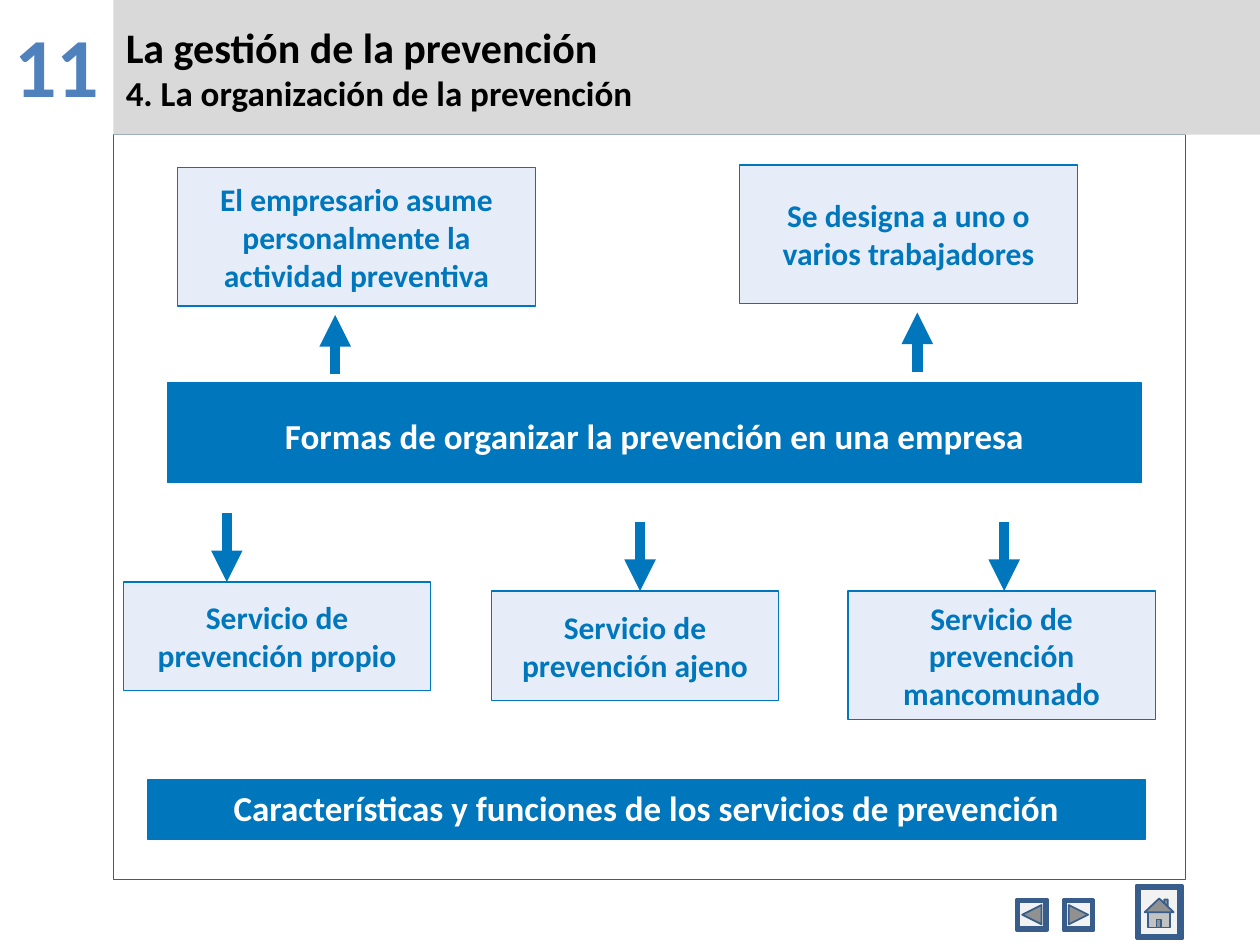
from typing import NamedTuple

from lxml.etree import SubElement
from pptx import Presentation
from pptx.dml.color import RGBColor
from pptx.enum.shapes import MSO_CONNECTOR, MSO_SHAPE
from pptx.enum.text import MSO_ANCHOR as Anchor, PP_ALIGN as Align
from pptx.oxml.ns import qn
from pptx.util import Inches, Pt

FONT = "Calibri"
BLUE = RGBColor(0x00, 0x77, 0xBD)
PALE = RGBColor(0xE6, 0xED, 0xF8)
NUMBER_BLUE = RGBColor(0x4F, 0x81, 0xBD)
NAVY = RGBColor(0x38, 0x5D, 0x8A)
BAND = RGBColor(0xD9, 0xD9, 0xD9)
BUTTON = RGBColor(0xF2, 0xF2, 0xF2)
GLYPH = RGBColor(0x91, 0x91, 0x91)
GLYPH_LIGHT = RGBColor(0xC2, 0xC2, 0xC2)
WHITE = RGBColor(0xFF, 0xFF, 0xFF)
BLACK = RGBColor(0x00, 0x00, 0x00)

WIDTH, HEIGHT = Inches(10), Inches(7.5)
UNIT = WIDTH // 100  # the grid has 100 columns and 75 rows of this size


class Box(NamedTuple):
    """A region of the slide, in grid units."""
    x: float
    y: float
    w: float
    h: float

    def inner(self, x, y, w, h):
        return Box(self.x + x, self.y + y, w, h)

    def lengths(self):
        return [round(value * UNIT) for value in self]


def paint(shape, fill=None, line=None, line_width=0.75):
    shape.shadow.inherit = False
    if fill is None:
        shape.fill.background()
    else:
        shape.fill.solid()
        shape.fill.fore_color.rgb = fill
    if line is None:
        shape.line.fill.background()
    else:
        shape.line.color.rgb = line
        shape.line.width = Pt(line_width)


def write(shape, lines, color, align=Align.CENTER, anchor=Anchor.MIDDLE, top=0.05, bottom=0.05):
    """Fill a shape with (text, size) lines in bold."""
    frame = shape.text_frame
    frame.word_wrap = True
    frame.vertical_anchor = anchor
    frame.margin_left = frame.margin_right = Inches(0.1)
    frame.margin_top, frame.margin_bottom = Inches(top), Inches(bottom)
    for index, (text, size) in enumerate(lines):
        paragraph = frame.add_paragraph() if index else frame.paragraphs[0]
        paragraph.text = text
        paragraph.alignment = align
        font = paragraph.font
        font.name, font.size, font.bold = FONT, Pt(size), True
        font.color.rgb = color


def add_rectangle(slide, box, fill=None, line=None):
    rectangle = slide.shapes.add_shape(MSO_SHAPE.RECTANGLE, *box.lengths())
    paint(rectangle, fill, line)
    return rectangle


def add_arrow(slide, x, start, end):
    ends = [round(value * UNIT) for value in (x, start, x, end)]
    arrow = slide.shapes.add_connector(MSO_CONNECTOR.STRAIGHT, *ends)
    arrow.line.color.rgb = BLUE
    arrow.line.width = Pt(6)
    SubElement(arrow.line._get_or_add_ln(), qn("a:tailEnd"), type="triangle")
    SubElement(arrow._element.spPr, qn("a:effectLst"))


def add_header(slide, box, number_width):
    number = slide.shapes.add_textbox(*box.inner(0, 0, number_width, 10).lengths())
    write(number, [("11", 48)], NUMBER_BLUE, anchor=Anchor.TOP, top=0.11)
    band = add_rectangle(slide, box.inner(number_width, 0, box.w - number_width, box.h), BAND)
    write(band, [("La gestión de la prevención", 24),
                 ("4. La organización de la prevención", 20)], BLACK, Align.LEFT)


def add_diagram(slide, panel):
    add_rectangle(slide, panel, line=NAVY)

    banner = add_rectangle(slide, panel.inner(4.3, 19.7, 77.3, 7.9), BLUE, BLUE)
    write(banner, [("Formas de organizar la prevención en una empresa", 20)], WHITE,
          anchor=Anchor.TOP, top=0.25, bottom=0.13)

    forms_above = [
        ("El empresario asume personalmente la actividad preventiva", (5.1, 2.6, 28.4, 11), 17.6),
        ("Se designa a uno o varios trabajadores", (49.7, 2.4, 26.8, 11), 63.8),
    ]
    forms_below = [
        ("Servicio de prevención propio", (0.8, 35.5, 24.4, 8.6), 9),
        ("Servicio de prevención ajeno", (30, 36.2, 22.8, 8.7), 41.8),
        ("Servicio de prevención mancomunado", (58.3, 36.2, 24.4, 10.2), 70.7),
    ]
    for text, place, arrow_x in forms_above + forms_below:
        box = panel.inner(*place)
        form = add_rectangle(slide, box, PALE, BLUE)
        write(form, [(text, 18)], BLUE, top=0.09, bottom=0.09)
        if box.y < panel.y + panel.h / 2:
            tip = box.y + box.h + 0.7
            add_arrow(slide, panel.x + arrow_x, tip + 4.7, tip)
        else:
            add_arrow(slide, panel.x + arrow_x, box.y - 5.5, box.y)

    services = add_rectangle(slide, panel.inner(2.7, 51.2, 79.2, 4.7), BLUE, BLUE)
    write(services, [("Características y funciones de los servicios de prevención", 20)],
          WHITE, anchor=Anchor.TOP)


def add_button(slide, box, glyphs):
    """Bevelled button; glyphs are (fill, points), points being shares of the box."""
    button = slide.shapes.add_shape(MSO_SHAPE.BEVEL, *box.lengths())
    button.adjustments[0] = 0.06
    paint(button, BUTTON, NAVY, 2)
    left, top, width, height = box.lengths()
    for fill, points in glyphs:
        start, *rest = [(round(left + x * width), round(top + y * height)) for x, y in points]
        builder = slide.shapes.build_freeform(*start)
        builder.add_line_segments(rest)
        paint(builder.convert_to_shape(), fill, NAVY, 1)


def add_navigation(slide, box):
    forward = [(0.18, 0.18), (0.82, 0.5), (0.18, 0.82)]
    back = [(1 - x, y) for x, y in forward]
    house = [
        (GLYPH, [(0.61, 0.33), (0.61, 0.26), (0.69, 0.26), (0.69, 0.41)]),
        (GLYPH_LIGHT, [(0.26, 0.5), (0.74, 0.5), (0.74, 0.79), (0.26, 0.79)]),
        (GLYPH, [(0.5, 0.24), (0.82, 0.5), (0.18, 0.5)]),
        (GLYPH, [(0.44, 0.64), (0.54, 0.64), (0.54, 0.79), (0.44, 0.79)]),
    ]
    add_button(slide, box.inner(0, 1.1, 2.4, 2.4), [(GLYPH, back)])
    add_button(slide, box.inner(3.7, 1.1, 2.4, 2.4), [(GLYPH, forward)])
    add_button(slide, box.inner(9.5, 0, 3.6, box.h), house)


def main():
    deck = Presentation()
    deck.slide_width, deck.slide_height = WIDTH, HEIGHT
    slide = deck.slides.add_slide(deck.slide_layouts[6])
    add_diagram(slide, Box(9, 10.7, 85.1, 59.1))
    add_header(slide, Box(0, 0, 100, 10.7), number_width=9)
    add_navigation(slide, Box(80.7, 70.3, 13.1, 4.2))
    deck.save("out.pptx")


if __name__ == "__main__":
    main()
